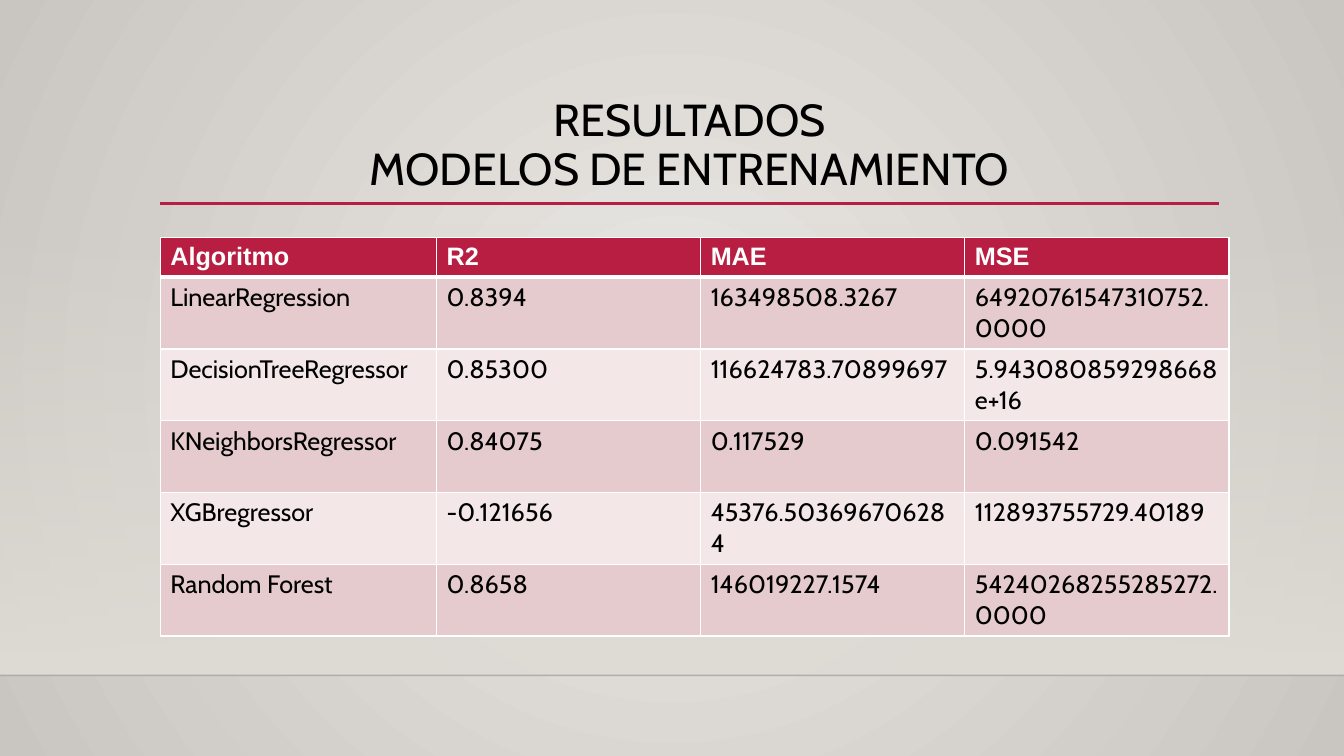
import pptx
import pptx.dml.color
import pptx.enum.shapes
import pptx.enum.text
import pptx.oxml.ns
import pptx.util
from lxml import etree

Inches = pptx.util.Inches
Pt = pptx.util.Pt
qn = pptx.oxml.ns.qn

RED, WHITE, BLACK = "B71E42", "FFFFFF", "000000"
BAND_COLORS = ["E5CBCD", "F3E7E8"]
RESULTS = [
    ["Algoritmo", "R2", "MAE", "MSE"],
    ["LinearRegression", "0.8394", "163498508.3267", "64920761547310752.0000"],
    ["DecisionTreeRegressor", "0.85300", "116624783.70899697", "5.943080859298668e+16"],
    ["KNeighborsRegressor", "0.84075", "0.117529", "0.091542"],
    ["XGBregressor", "-0.121656", "45376.503696706284", "112893755729.40189"],
    ["Random Forest", "0.8658", "146019227.1574", "54240268255285272.0000"],
]


def rgb(color):
    return pptx.dml.color.RGBColor.from_string(color)


def set_alpha(parent, percent):
    color = next(parent.iter(qn("a:srgbClr")))
    etree.SubElement(color, qn("a:alpha")).set("val", str(percent * 1000))


def set_gradient(fill, first, last):
    fill.gradient()
    for stop, color, position in zip(fill.gradient_stops, (first, last), (0, 1)):
        stop.color.rgb = rgb(color)
        stop.position = position


def add_text(paragraph, text, font, size, color, bold=False):
    run = paragraph.add_run()
    run.text = text
    run.font.name = font
    run.font.size = Pt(size)
    run.font.bold = bold
    run.font.color.rgb = rgb(color)


def add_rule(slide, left, top, width, color, weight):
    rule = slide.shapes.add_connector(
        pptx.enum.shapes.MSO_CONNECTOR.STRAIGHT,
        Inches(left), Inches(top), Inches(left + width), Inches(top))
    rule.line.color.rgb = rgb(color)
    rule.line.width = Pt(weight)
    etree.SubElement(rule.element.spPr, qn("a:effectLst"))
    return rule


def add_backdrop(slide, width, wall_top, floor_top):
    # Radial light from the middle of the slide
    set_gradient(slide.background.fill, "EBE9E6", "C9C5C0")
    gradient = next(slide.element.iter(qn("a:gradFill")))
    gradient.remove(gradient.find(qn("a:lin")))
    radial = etree.SubElement(gradient, qn("a:path"), path="circle")
    etree.SubElement(radial, qn("a:fillToRect"),
                     {side: "50000" for side in "ltrb"})

    # Wall that fades in towards the floor
    wall = slide.shapes.add_shape(
        pptx.enum.shapes.MSO_SHAPE.RECTANGLE,
        0, Inches(wall_top), Inches(width), Inches(floor_top - wall_top))
    wall.shadow.inherit = False
    wall.line.fill.background()
    set_gradient(wall.fill, "DFDBD5", "DFDBD5")
    wall.fill.gradient_angle = 270
    set_alpha(next(wall.element.iter(qn("a:gs"))), 0)

    # Floor edge
    edge = add_rule(slide, 0, floor_top, width, "000001", 1)
    set_alpha(edge.element.spPr, 20)


def add_heading(slide, left, top, width, height):
    title = slide.shapes.title
    title.left, title.top = Inches(left), Inches(top)
    title.width, title.height = Inches(width), Inches(height)
    frame = title.text_frame
    frame.word_wrap = True
    frame.auto_size = pptx.enum.text.MSO_AUTO_SIZE.NONE
    frame.vertical_anchor = pptx.enum.text.MSO_ANCHOR.MIDDLE
    paragraph = frame.paragraphs[0]
    paragraph.alignment = pptx.enum.text.PP_ALIGN.CENTER
    paragraph.line_spacing = 0.9
    add_text(paragraph, "RESULTADOS", "Cabin", 32, BLACK)
    paragraph.add_line_break()
    add_text(paragraph, "MODELOS DE ENTRENAMIENTO", "Cabin", 32, BLACK)
    add_rule(slide, left, top + height - 0.01, width, RED, 2.5)


def set_borders(cell, weights):
    properties = cell._tc.get_or_add_tcPr()
    for position, (side, weight) in enumerate(weights.items()):
        border = etree.Element(qn("a:ln" + side), w=str(Pt(weight)))
        fill = etree.SubElement(border, qn("a:solidFill"))
        etree.SubElement(fill, qn("a:srgbClr"), val=WHITE)
        properties.insert(position, border)


def add_results(slide, left, top, width, height):
    first_width, header_height = 2.74, 0.39
    column_width = (width - first_width) / (len(RESULTS[0]) - 1)
    row_height = (height - header_height) / (len(RESULTS) - 1)
    table = slide.shapes.add_table(
        len(RESULTS), len(RESULTS[0]),
        Inches(left), Inches(top), Inches(width), Inches(height)).table
    for index, column in enumerate(table.columns):
        column.width = Inches(column_width if index else first_width)
    for index, row in enumerate(table.rows):
        row.height = Inches(row_height if index else header_height)
        header = index == 0
        for cell, text in zip(row.cells, RESULTS[index]):
            cell.fill.solid()
            cell.fill.fore_color.rgb = rgb(RED if header else BAND_COLORS[(index - 1) % 2])
            set_borders(cell, {"L": 1, "R": 1, "T": 3 if index == 1 else 1,
                               "B": 3 if header else 1})
            add_text(cell.text_frame.paragraphs[0], text,
                     "Arial" if header else "Cabin", 18,
                     WHITE if header else BLACK, header)


def main():
    presentation = pptx.Presentation()
    presentation.slide_width = Inches(13.33)
    presentation.slide_height = Inches(7.5)
    slide = presentation.slides.add_slide(presentation.slide_layouts[5])
    add_backdrop(slide, 13.33, 2.21, 6.7)
    add_heading(slide, 1.59, 0.88, 10.5, 1.15)
    add_results(slide, 1.59, 2.36, 10.6, 3.95)
    presentation.save("out.pptx")


if __name__ == "__main__":
    main()
